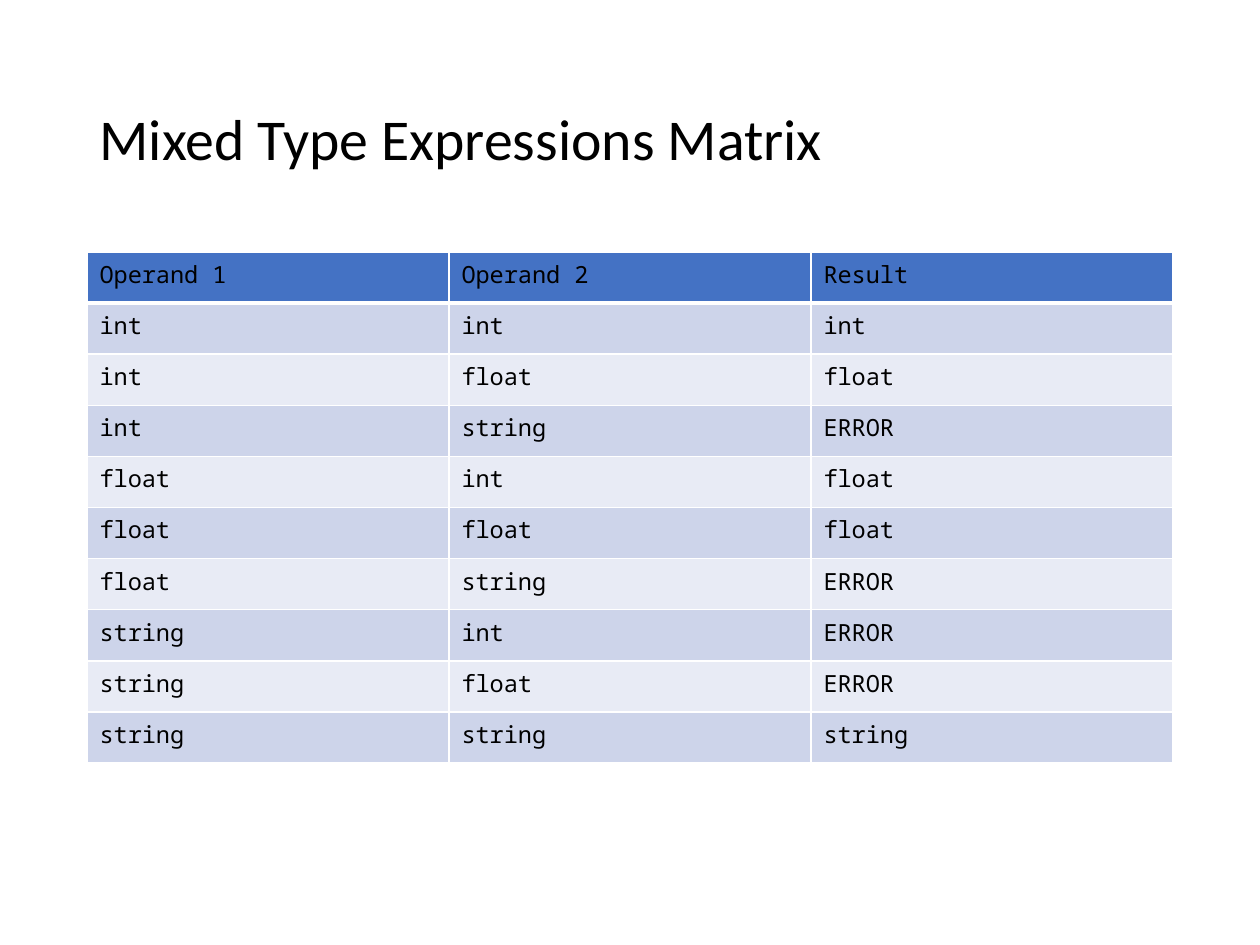
from lxml.etree import SubElement
from pptx import Presentation
from pptx.dml.color import RGBColor
from pptx.enum.text import MSO_ANCHOR, PP_ALIGN
from pptx.oxml.ns import qn
from pptx.util import Emu, Pt

SCALE = 914400 / 126
BLACK = RGBColor(0x00, 0x00, 0x00)
WHITE = RGBColor(0xFF, 0xFF, 0xFF)
BLUE = RGBColor(0x44, 0x72, 0xC4)
BANDS = [RGBColor(0xE8, 0xEB, 0xF5), RGBColor(0xCD, 0xD4, 0xEA)]

HEAD = ["Operand 1", "Operand 2", "Result"]
TYPES = ["int", "float", "string"]


def px(n):
    return Emu(round(n * SCALE))


def mix(a, b):
    """Return the type that results from combining types a and b."""
    if a == b:
        return a
    return "ERROR" if "string" in (a, b) else "float"


def style(par, face, size):
    par.font.name = face
    par.font.size = Pt(size)
    par.font.bold = False
    par.font.color.rgb = BLACK


def edge(cell, low):
    """Draw white cell borders, the bottom one low points wide."""
    props = cell._tc.get_or_add_tcPr()
    for side, width in zip("LRTB", (1, 1, 1, low)):
        line = SubElement(props, qn(f"a:ln{side}"), w=str(Pt(width)))
        fill = SubElement(line, qn("a:solidFill"))
        SubElement(fill, qn("a:srgbClr"), val=str(WHITE))


def add_title(slide, text, x, y, w, h):
    title = slide.shapes.title
    title.left, title.top, title.width, title.height = map(px, (x, y, w, h))
    frame = title.text_frame
    frame.text = text
    frame.word_wrap = True
    frame.vertical_anchor = MSO_ANCHOR.MIDDLE
    par = frame.paragraphs[0]
    par.alignment = PP_ALIGN.LEFT
    par.line_spacing = 0.9
    style(par, "Calibri", 33)


def add_matrix(slide, rows, x, y, w, h):
    shape = slide.shapes.add_table(len(rows), len(rows[0]), *map(px, (x, y, w, h)))
    table = shape.table
    for col in table.columns:
        col.width = px(w / len(rows[0]))
    for r, row in enumerate(rows):
        table.rows[r].height = px(h / len(rows))
        for c, text in enumerate(row):
            cell = table.cell(r, c)
            cell.text = text
            style(cell.text_frame.paragraphs[0], "Noto Sans Mono", 13.5)
            edge(cell, 1 if r else 3)
            cell.fill.solid()
            cell.fill.fore_color.rgb = BANDS[r % 2] if r else BLUE


def main():
    deck = Presentation()
    deck.slide_width, deck.slide_height = px(1260), px(945)
    slide = deck.slides.add_slide(deck.slide_layouts[5])
    add_title(slide, "Mixed Type Expressions Matrix", 87, 50, 1086, 183)
    rows = [HEAD] + [[a, b, mix(a, b)] for a in TYPES for b in TYPES]
    add_matrix(slide, rows, 87, 252, 1086, 511)
    deck.save("out.pptx")


if __name__ == "__main__":
    main()
